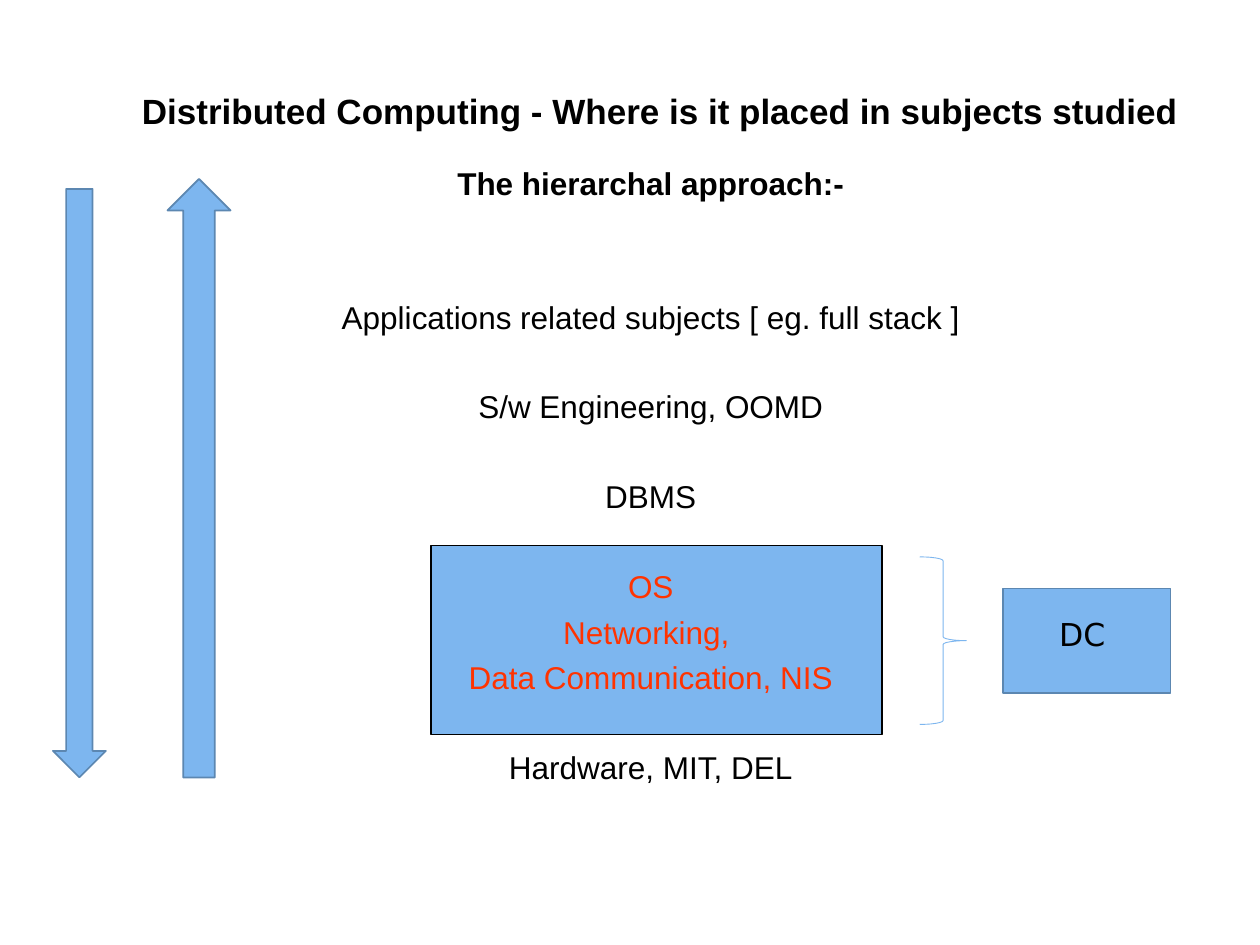
from pptx import Presentation, util as u
from pptx.dml.color import RGBColor
from pptx.enum import shapes, text

COLORS = {"fill": "7DB6EF", "edge": "5C87B1", "text": "000000", "accent": "FF3300"}
S = shapes.MSO_SHAPE
FONT = "Arial"
TITLE = "Distributed Computing - Where is it placed in subjects studied"

# shape, (left, top, width, height), fill, line, line width
SHAPES = [
    (S.RECTANGLE, (3.42, 4.33, 3.58, 1.5), "fill", "text", 0.75),
    (S.RIGHT_BRACE, (7.3, 4.42, 0.37, 1.33), None, "fill", 0.5),
    (S.RECTANGLE, (7.96, 4.67, 1.33, 0.83), "fill", "edge", 1),
    (S.UP_ARROW, (1.33, 1.42, 0.5, 4.75), "fill", "edge", 1),
    (S.DOWN_ARROW, (0.42, 1.5, 0.42, 4.67), "fill", "edge", 1),
]

# text, rows left open above, format
SUBJECTS = [
    ("The hierarchal approach:-", 0, {"bold": True}),
    ("Applications related subjects [ eg. full stack ]", 2, {}),
    ("S/w Engineering, OOMD", 1, {}),
    ("DBMS", 1, {}),
    ("OS", 1, {"color": "accent"}),
    ("Networking, ", 0, {"color": "accent"}),
    ("Data Communication, NIS", 0, {"color": "accent"}),
    ("Hardware, MIT, DEL", 1, {}),
]
ROW_PITCH, ROW_GAP = 25.2, 4.5  # points


def rgb(name):
    return RGBColor.from_string(COLORS[name])


def box(at):
    return [u.Inches(v) for v in at]


def write(p, words, color="text", size=18, bold=False, name=FONT):
    p.alignment = text.PP_ALIGN.CENTER
    r = p.add_run()
    r.text = words
    for key, value in {"size": u.Pt(size), "bold": bold, "name": name}.items():
        setattr(r.font, key, value)
    r.font.color.rgb = rgb(color)


def add_shape(slide, kind, at, fill, line, width):
    sp = slide.shapes.add_shape(kind, *box(at))
    sp.shadow.inherit = False
    if fill:
        sp.fill.solid()
        sp.fill.fore_color.rgb = rgb(fill)
    else:
        sp.fill.background()
    sp.line.color.rgb = rgb(line)
    sp.line.width = u.Pt(width)


def add_text(slide, at):
    tf = slide.shapes.add_textbox(*box(at)).text_frame
    tf.word_wrap = True
    return tf


def main():
    prs = Presentation()
    prs.slide_width, prs.slide_height = u.Inches(10), u.Inches(7.5)
    slide = prs.slides.add_slide(prs.slide_layouts[5])

    title = slide.shapes.title
    title.left, title.top, title.width, title.height = box((0.33, 0.27, 9.42, 0.9))
    tf = title.text_frame
    frame = {"vertical_anchor": text.MSO_ANCHOR.BOTTOM, "auto_size": text.MSO_AUTO_SIZE.NONE,
             "margin_left": u.Inches(0.5), "margin_bottom": u.Inches(0.13)}
    for key, value in frame.items():
        setattr(tf, key, value)
    write(tf.paragraphs[0], TITLE, size=20, bold=True)

    for item in SHAPES:
        add_shape(slide, *item)

    tf = add_text(slide, (0.83, 1.25, 8.67, 5.75))
    for i, (words, open_rows, fmt) in enumerate(SUBJECTS):
        p = tf.add_paragraph() if i else tf.paragraphs[0]
        p.space_before = u.Pt(ROW_GAP + open_rows * ROW_PITCH)
        write(p, words, **fmt)

    tf = add_text(slide, (8.08, 4.83, 1.02, 0.4))
    write(tf.paragraphs[0], "DC", name="DejaVu Sans")

    prs.save("out.pptx")


if __name__ == "__main__":
    main()
